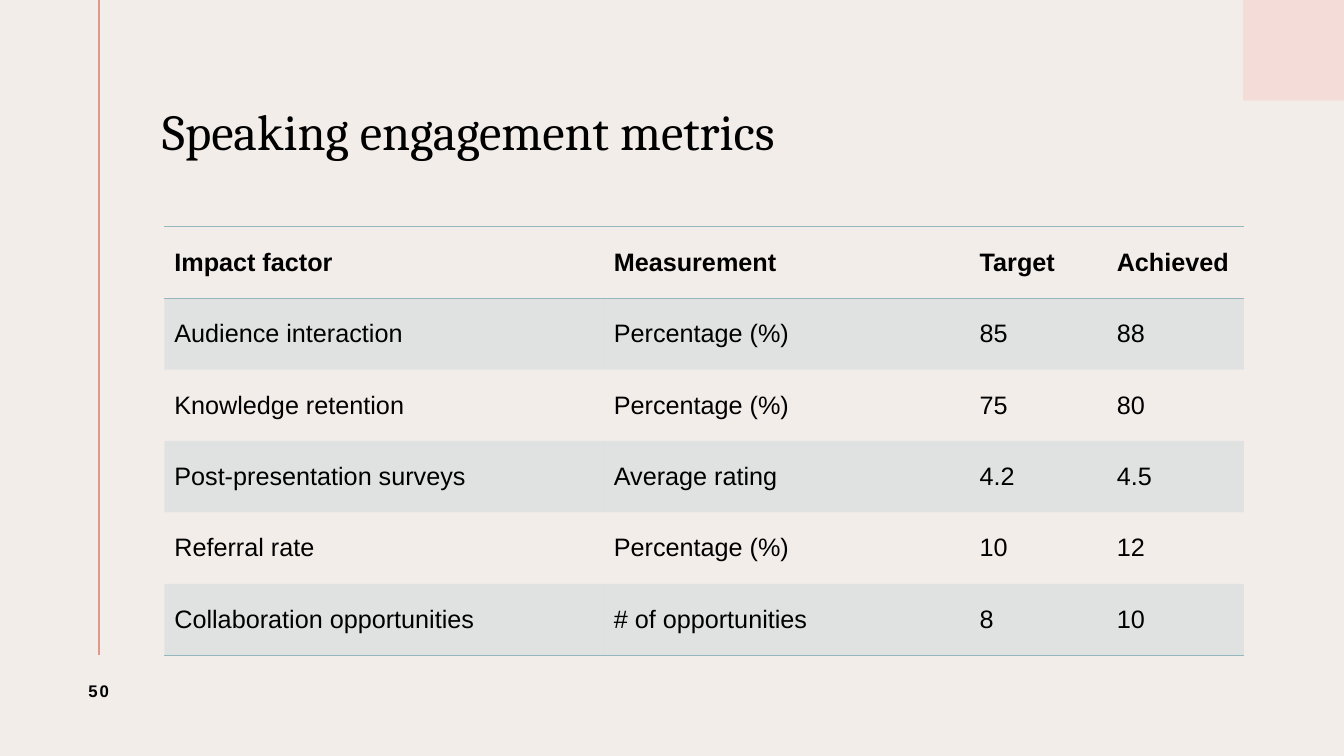
import pptx
import pptx.dml.color
import pptx.enum.shapes
import pptx.enum.text
import pptx.oxml
import pptx.oxml.ns
import pptx.util

Pt = pptx.util.Pt
ALIGN = pptx.enum.text.PP_ALIGN
MIDDLE = pptx.enum.text.MSO_ANCHOR.MIDDLE

COLORS = {
    "background": "F3EDEA",
    "corner": "F4DDD8",
    "rule": "DF998B",
    "text": "000000",
    "table": "95B8BF",
}
METRICS = [
    ("Impact factor", "Measurement", "Target", "Achieved"),
    ("Audience interaction", "Percentage (%)", "85", "88"),
    ("Knowledge retention", "Percentage (%)", "75", "80"),
    ("Post-presentation surveys", "Average rating", "4.2", "4.5"),
    ("Referral rate", "Percentage (%)", "10", "12"),
    ("Collaboration opportunities", "# of opportunities", "8", "10"),
]
COLUMN_SHARES = (313.92, 261.36, 97.92, 97.92)
TITLE_FONT = {"name": "Cambria", "size": Pt(36)}
HEADER_FONT = {"name": "Arial", "size": Pt(18), "bold": True}
BODY_FONT = {"name": "Arial", "size": Pt(18), "bold": False}
NUMBER_FONT = {"name": "Arial", "size": Pt(12), "bold": True}


def color(key):
    return pptx.dml.color.RGBColor.from_string(COLORS[key])


def xml(markup):
    return pptx.oxml.parse_xml(markup.replace(">", f" {pptx.oxml.ns.nsdecls('a')}>", 1))


def write(frame, text, font_format):
    run = frame.paragraphs[0].add_run()
    run.text = text
    run.font.color.rgb = color("text")
    for attribute, value in font_format.items():
        setattr(run.font, attribute, value)
    return run


def draw_decoration(slide, width, line_height, line_left=70.56, corner_side=72):
    corner = slide.shapes.add_shape(
        pptx.enum.shapes.MSO_SHAPE.RECTANGLE,
        Pt(width - corner_side), Pt(0), Pt(corner_side), Pt(corner_side),
    )
    corner.shadow.inherit = False
    corner.fill.solid()
    corner.fill.fore_color.rgb = color("corner")
    corner.line.fill.background()

    rule = slide.shapes.add_connector(
        pptx.enum.shapes.MSO_CONNECTOR.STRAIGHT,
        Pt(line_left), Pt(0), Pt(line_left), Pt(line_height),
    )
    rule.line.color.rgb = color("rule")
    rule.line.width = Pt(1.5)
    rule.element.spPr.append(xml("<a:effectLst></a:effectLst>"))


def draw_title(slide, left, top, width, height):
    frame = slide.shapes.add_textbox(Pt(left), Pt(top), Pt(width), Pt(height)).text_frame
    for attribute, value in {"word_wrap": True, "vertical_anchor": MIDDLE, "margin_left": 0}.items():
        setattr(frame, attribute, value)
    frame.paragraphs[0].line_spacing = 0.9
    write(frame, "Speaking engagement metrics", TITLE_FONT)


def draw_page_number(slide, left, top, width, height):
    frame = slide.shapes.add_textbox(Pt(left), Pt(top), Pt(width), Pt(height)).text_frame
    frame.word_wrap = True
    frame.vertical_anchor = MIDDLE
    frame.paragraphs[0].alignment = ALIGN.CENTER
    number = write(frame, "50", NUMBER_FONT)
    number.font._element.set("spc", "150")


def set_borders(cell, row):
    ruled_edges = (0, 1, len(METRICS))
    ruled = {"L": False, "R": False, "T": row in ruled_edges, "B": row + 1 in ruled_edges}
    properties = cell._tc.get_or_add_tcPr()
    for side, visible in ruled.items():
        paint = "<a:noFill/>"
        if visible:
            paint = f'<a:solidFill><a:srgbClr val="{COLORS["table"]}"/></a:solidFill>'
        properties.append(xml(f'<a:ln{side} w="12700">{paint}</a:ln{side}>'))


def set_band(cell, row):
    if row % 2 == 0:
        cell.fill.background()
        return
    cell.fill.solid()
    cell.fill.fore_color.rgb = color("table")
    tint = cell._tc.tcPr.find(".//" + pptx.oxml.ns.qn("a:solidFill") + "[last()]")
    band = cell._tc.tcPr.find(pptx.oxml.ns.qn("a:solidFill"))
    tint = band[0]
    tint.append(xml('<a:alpha val="20000"></a:alpha>'))


def draw_metrics(slide, left, top, width, height):
    metrics = slide.shapes.add_table(
        len(METRICS), len(COLUMN_SHARES), Pt(left), Pt(top), Pt(width), Pt(height)
    ).table
    for column, share in zip(metrics.columns, COLUMN_SHARES):
        column.width = Pt(width * share / sum(COLUMN_SHARES))
    for row, entries in enumerate(METRICS):
        metrics.rows[row].height = Pt(height / len(METRICS))
        for column, entry in enumerate(entries):
            cell = metrics.cell(row, column)
            cell.vertical_anchor = MIDDLE
            write(cell.text_frame, entry, BODY_FONT if row else HEADER_FONT)
            set_borders(cell, row)
            set_band(cell, row)


def main():
    deck = pptx.Presentation()
    deck.slide_width, deck.slide_height = Pt(960), Pt(540)
    slide = deck.slides.add_slide(deck.slide_layouts[6])
    slide.background.fill.solid()
    slide.background.fill.fore_color.rgb = color("background")
    draw_decoration(slide, 960, 468)
    draw_title(slide, 115.92, 39.6, 772.56, 112.32)
    draw_metrics(slide, 117.36, 162, 771.12, 306)
    draw_page_number(slide, 32.4, 468, 76.32, 51.12)
    deck.save("out.pptx")


if __name__ == "__main__":
    main()
